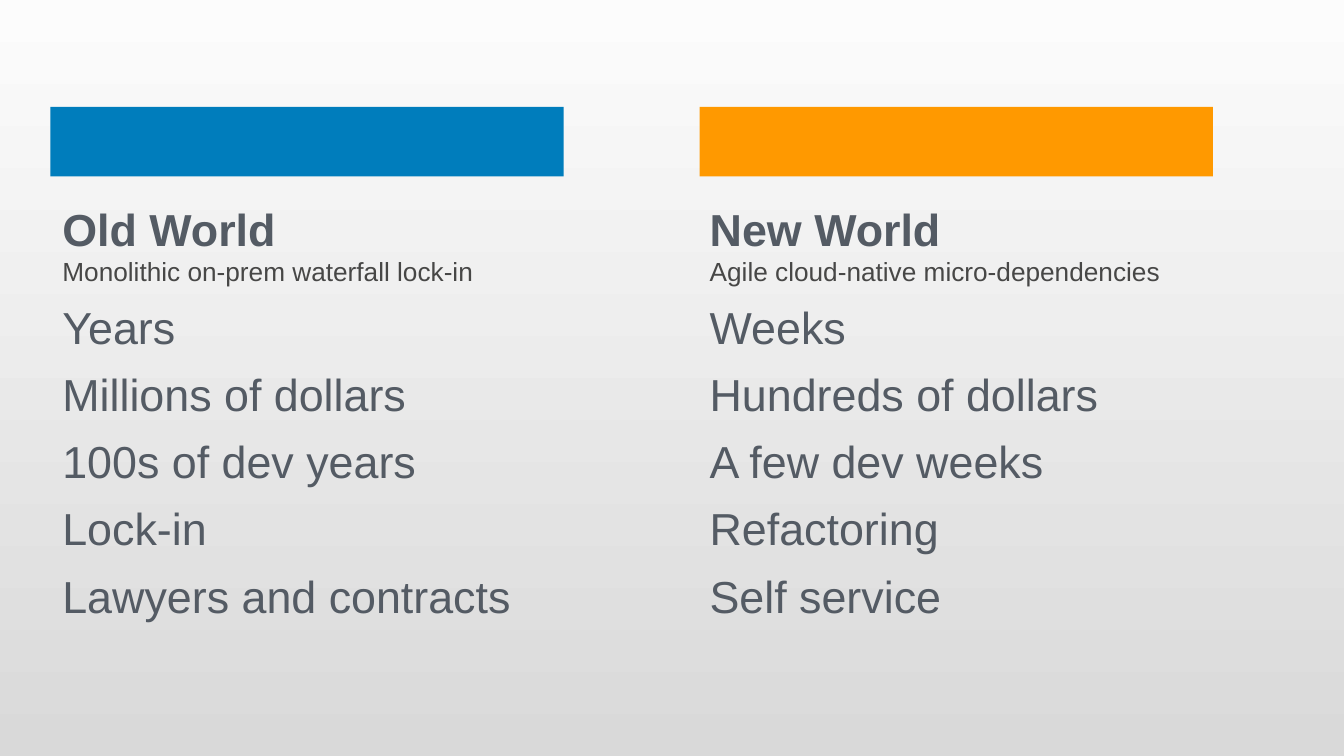
from pptx import Presentation
from pptx import util as u
from pptx.dml.color import RGBColor
from pptx.enum import shapes, text

COLUMNS = [
    (0.5, 0.52, "007DBC", "Old World", "Monolithic on-prem waterfall lock-in",
     ["Years", "Millions of dollars", "100s of dev years", "Lock-in",
      "Lawyers and contracts"]),
    (6.94, 6.94, "FF9900", "New World", "Agile cloud-native micro-dependencies",
     ["Weeks", "Hundreds of dollars", "A few dev weeks", "Refactoring",
      "Self service"]),
]


def color(value):
    return RGBColor.from_string(value)


class ComparisonSlide:
    FONT = "Arial"
    MAIN = "545B64"
    SUBTLE = "474746"
    SIZE = 32
    SUBTITLE_SIZE = 18.7

    def __init__(self, presentation):
        self.slide = presentation.slides.add_slide(presentation.slide_layouts[6])

    def background(self, top, bottom):
        fill = self.slide.background.fill
        fill.gradient()
        fill.gradient_angle = 270
        for stop, value in zip(fill.gradient_stops, (top, bottom)):
            stop.color.rgb = color(value)

    def bar(self, left, top, width, height, fill):
        shape = self.slide.shapes.add_shape(
            shapes.MSO_SHAPE.RECTANGLE, *map(u.Inches, (left, top, width, height)))
        shape.shadow.inherit = False
        shape.fill.solid()
        shape.fill.fore_color.rgb = color(fill)
        shape.line.fill.background()

    def text_frame(self, left, top, width, height):
        box = self.slide.shapes.add_textbox(
            *map(u.Inches, (left, top, width, height)))
        frame = box.text_frame
        frame.word_wrap = True
        frame.margin_top = u.Inches(0.1)
        frame.vertical_anchor = text.MSO_ANCHOR.TOP
        return frame

    def style(self, font, size, value, bold=False):
        font.name = self.FONT
        font.size = u.Pt(size)
        font.bold = bold
        font.color.rgb = color(value)

    def heading(self, left, top, width, height, title, subtitle):
        paragraph = self.text_frame(left, top, width, height).paragraphs[0]
        run = paragraph.add_run()
        run.text = title
        self.style(run.font, self.SIZE, self.MAIN, bold=True)
        paragraph.add_line_break()
        run = paragraph.add_run()
        run.text = subtitle
        self.style(run.font, self.SUBTITLE_SIZE, self.SUBTLE)

    def points(self, left, top, width, height, lines):
        frame = self.text_frame(left, top, width, height)
        frame.text = "\n".join(lines)
        for index, paragraph in enumerate(frame.paragraphs):
            self.style(paragraph.font, self.SIZE, self.MAIN)
            paragraph.space_before = u.Pt(9.6 if index else 0)


def main():
    presentation = Presentation()
    presentation.slide_width = u.Inches(13.33)
    presentation.slide_height = u.Inches(7.5)
    comparison = ComparisonSlide(presentation)
    comparison.background("FCFCFC", "D9D9D9")
    for bar_left, text_left, fill, title, subtitle, lines in COLUMNS:
        comparison.points(text_left, 2.87, 5.76, 3.27, lines)
        comparison.heading(text_left, 1.9, 5.25, 0.95, title, subtitle)
        comparison.bar(bar_left, 1.06, 5.09, 0.69, fill)
    presentation.save("out.pptx")


if __name__ == "__main__":
    main()
